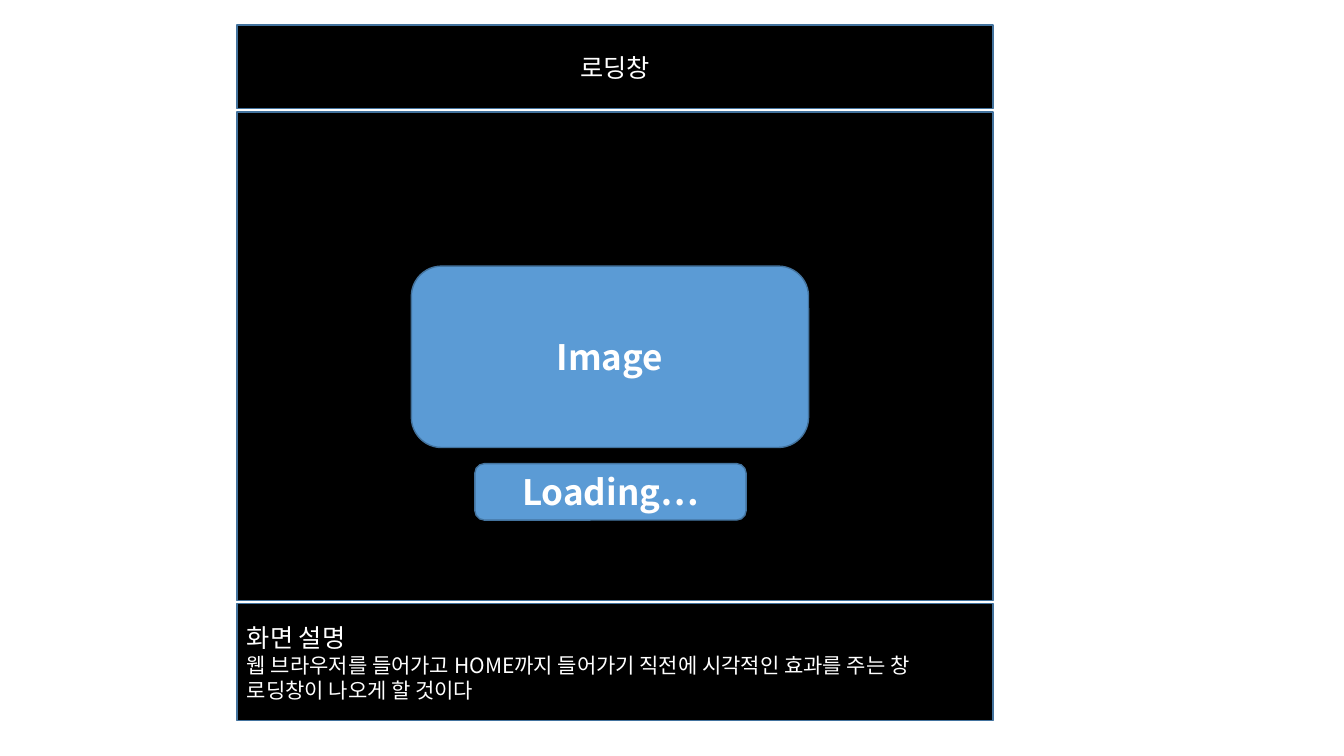
import pptx
import pptx.dml.color
import pptx.enum.shapes
import pptx.enum.text
import pptx.oxml
import pptx.oxml.ns
import pptx.util

PX = 9144
FONT = "Noto Sans CJK KR"
COLORS = {"panel": "000000", "button": "5B9BD5", "line": "43739E", "text": "FFFFFF"}
SHAPES = pptx.enum.shapes.MSO_SHAPE
ALIGN = pptx.enum.text.PP_ALIGN
PANEL_LEFT, PANEL_WIDTH = 235, 750


def color(name):
    return pptx.dml.color.RGBColor.from_string(COLORS[name])


def add_box(page, kind, fill, left, top, width, height):
    box = page.shapes.add_shape(kind, *(value * PX for value in (left, top, width, height)))
    box.shadow.inherit = False
    box.fill.solid()
    box.fill.fore_color.rgb = color(fill)
    box.line.color.rgb = color("line")
    box.line.width = pptx.util.Pt(1)
    return box


def write(box, lines, align, bold=False):
    frame = box.text_frame
    frame.word_wrap = True
    frame.vertical_anchor = pptx.enum.text.MSO_ANCHOR.MIDDLE
    for index, (text, size) in enumerate(lines):
        para = frame.add_paragraph() if index else frame.paragraphs[0]
        para.text = text
        para.alignment = align
        para.font.size = pptx.util.Pt(size)
        para.font.bold = bold
        para.font.color.rgb = color("text")
        para.font.name = FONT
        defaults = para._p.find(".//" + pptx.oxml.ns.qn("a:defRPr"))
        defaults.append(pptx.oxml.parse_xml(
            f'<a:ea {pptx.oxml.ns.nsdecls("a")} typeface="{FONT}"/>'))


def add_panel(page, top, height):
    return add_box(page, SHAPES.RECTANGLE, "panel", PANEL_LEFT, top, PANEL_WIDTH, height)


def add_button(page, label, left, top, width, height):
    box = add_box(page, SHAPES.ROUNDED_RECTANGLE, "button", left, top, width, height)
    write(box, [(label, 25)], ALIGN.CENTER, bold=True)


def main():
    deck = pptx.Presentation()
    deck.slide_width = pptx.util.Inches(13.33)
    deck.slide_height = pptx.util.Inches(7.5)
    page = deck.slides.add_slide(deck.slide_layouts[6])

    title = add_panel(page, 25, 83)
    write(title, [("로딩창", 18)], ALIGN.CENTER)
    add_panel(page, 111, 485)
    description = add_panel(page, 599, 116)
    write(description, [
        ("화면 설명", 18),
        ("웹 브라우저를 들어가고 HOME까지 들어가기 직전에 시각적인 효과를 주는 창 "
         "로딩창이 나오게 할 것이다", 15),
    ], ALIGN.LEFT)
    add_button(page, "Image", 408, 264, 394, 180)
    add_button(page, "Loading…", 471, 460, 269, 56)

    deck.save("out.pptx")


if __name__ == "__main__":
    main()
